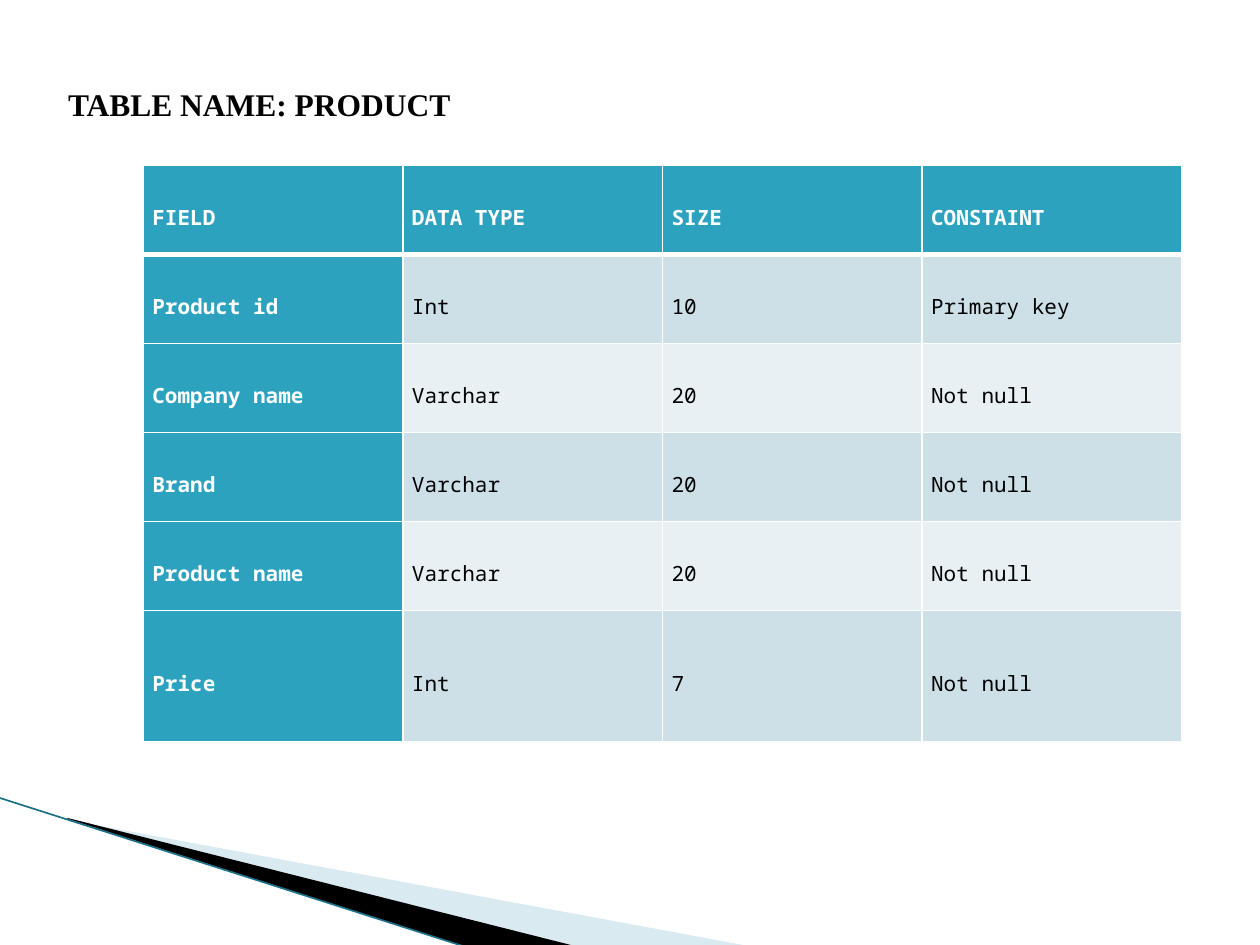
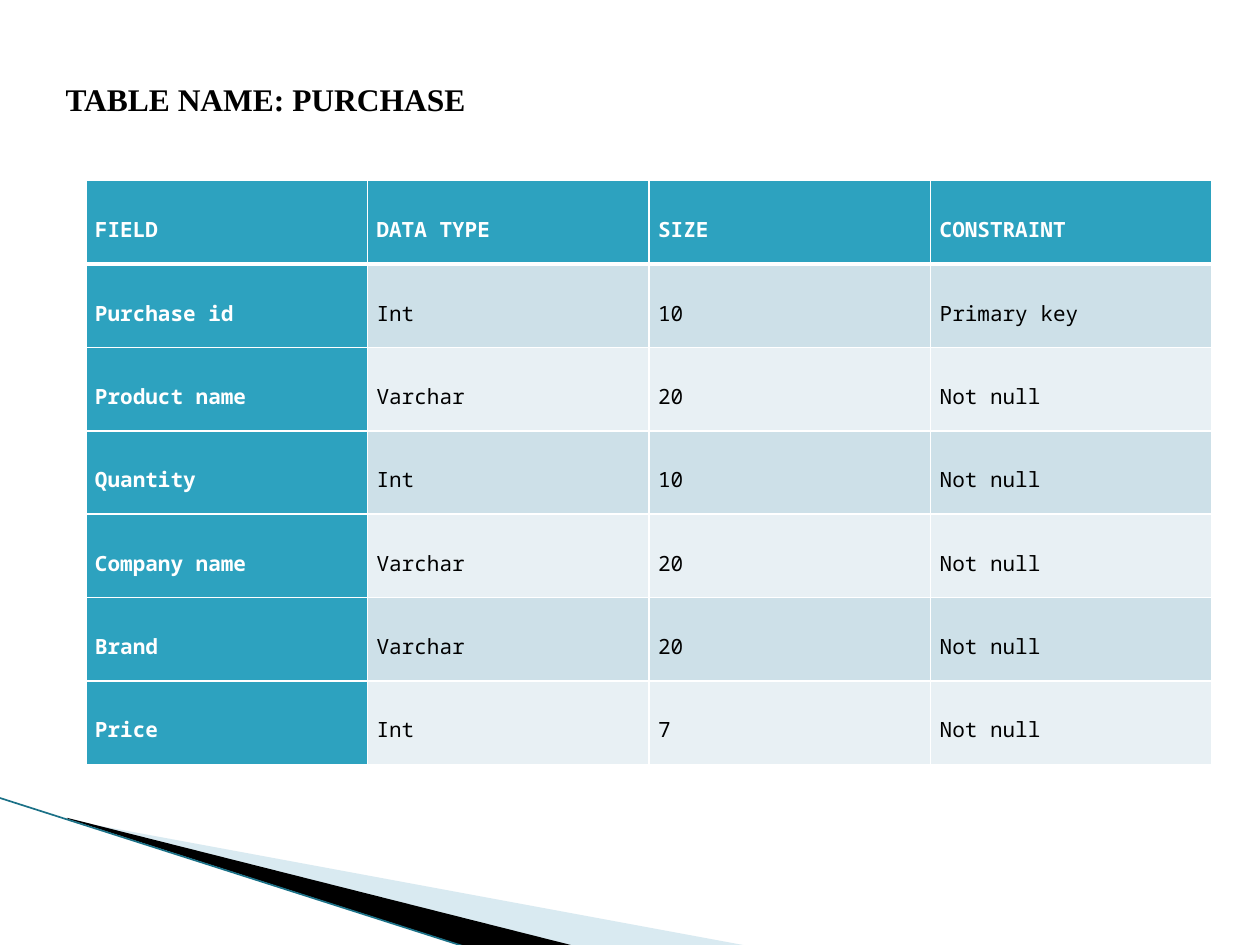
from lxml import etree
from pptx import Presentation
from pptx import util as u
from pptx.dml import color
from pptx.enum import shapes, text
from pptx.oxml import ns

COLORS = {
    "header": "2DA2BF",
    "band_dark": "CDE0E8",
    "band_light": "E8F0F4",
    "wedge_light": "A0CBDC",
    "wedge_black": "000000",
    "edge": "1B7187",
    "ink": "000000",
    "white": "FFFFFF",
}
RGB = {name: color.RGBColor.from_string(value) for name, value in COLORS.items()}
TITLE_FONT = {"name": "Times New Roman", "size": u.Pt(18), "bold": True}
CELL_FONT = {"name": "Noto Sans Mono", "size": u.Pt(12)}
PARAGRAPH = {"line_spacing": 1.5, "space_after": u.Pt(10)}
CELL = {
    "margin_left": u.Pt(5.2),
    "margin_right": u.Pt(5.2),
    "margin_top": 0,
    "margin_bottom": 0,
    "vertical_anchor": text.MSO_ANCHOR.MIDDLE,
}
WEDGES = [
    {
        "fill": "wedge_light",
        "opacity": 40,
        "frame": (56.2, 393.8, 299.5, 113.8),
        "points": [(39.6, 468.7), (428.4, 540.7), (328.3, 540.7), (39.6, 468)],
    },
    {
        "fill": "wedge_black",
        "opacity": 100,
        "frame": (-4.3, 455.8, 299.5, 66.2),
        "points": [(38.2, 467.3), (329, 540.7), (267.8, 541.4), (38.9, 468)],
    },
]
TABLES = [
    {
        "title": "TABLE NAME: PRODUCT",
        "title_at": (31.8, 34.2),
        "table_at": (81.9, 94.6),
        "column_width": 148.35,
        "row_heights": [50.9] * 5 + [74.8],
        "rows": [
            ("FIELD", "DATA TYPE", "SIZE", "CONSTAINT"),
            ("Product id", "Int", "10", "Primary key"),
            ("Company name", "Varchar", "20", "Not null"),
            ("Brand", "Varchar", "20", "Not null"),
            ("Product name", "Varchar", "20", "Not null"),
            ("Price", "Int", "7", "Not null"),
        ],
    },
    {
        "title": "TABLE NAME: PURCHASE",
        "title_at": (30.4, 31.4),
        "table_at": (49.1, 103.2),
        "column_width": 160.9,
        "row_heights": [47.67] * 7,
        "rows": [
            ("FIELD", "DATA TYPE", "SIZE", "CONSTRAINT"),
            ("Purchase id", "Int", "10", "Primary key"),
            ("Product name", "Varchar", "20", "Not null"),
            ("Quantity", "Int", "10", "Not null"),
            ("Company name", "Varchar", "20", "Not null"),
            ("Brand", "Varchar", "20", "Not null"),
            ("Price", "Int", "7", "Not null"),
        ],
    },
]


def apply(target, values):
    for name, value in values.items():
        setattr(target, name, value)


def write(frame, content, font, ink):
    paragraph = frame.paragraphs[0]
    apply(paragraph, PARAGRAPH)
    run = paragraph.add_run()
    run.text = content
    apply(run.font, font)
    run.font.color.rgb = RGB[ink]


presentation = Presentation()
presentation.slide_width = u.Pt(720)
presentation.slide_height = u.Pt(540)

for design in TABLES:
    slide = presentation.slides.add_slide(presentation.slide_layouts[6])

    for wedge_design in WEDGES:
        corners = [(u.Pt(x), u.Pt(y)) for x, y in wedge_design["points"]]
        builder = slide.shapes.build_freeform(*corners[0])
        builder.add_line_segments(corners[1:], close=True)
        wedge = builder.convert_to_shape()
        wedge.shadow.inherit = False
        wedge.fill.solid()
        wedge.fill.fore_color.rgb = RGB[wedge_design["fill"]]
        wedge.line.fill.background()
        if wedge_design["opacity"] < 100:
            tint = wedge._element.spPr.find(ns.qn("a:solidFill"))[0]
            alpha = str(wedge_design["opacity"] * 1000)
            etree.SubElement(tint, ns.qn("a:alpha"), val=alpha)

        left, top, width, height = map(u.Pt, wedge_design["frame"])
        outline = next(wedge._element.iter(ns.qn("a:path")))
        outline.set("w", str(width))
        outline.set("h", str(height))
        for point, (x, y) in zip(outline.iter(ns.qn("a:pt")), corners):
            point.set("x", str(x - left))
            point.set("y", str(y - top))
        apply(wedge, {"left": left, "top": top, "width": width, "height": height})

    edge = slide.shapes.add_connector(
        shapes.MSO_CONNECTOR.STRAIGHT, u.Pt(-0.7), u.Pt(455.8), u.Pt(267), u.Pt(541.4)
    )
    edge.line.width = u.Pt(0.95)
    edge.line.color.rgb = RGB["edge"]
    etree.SubElement(edge._element.spPr, ns.qn("a:effectLst"))

    left, top = design["title_at"]
    title = slide.shapes.add_textbox(u.Pt(left), u.Pt(top), u.Pt(360), u.Pt(36.7))
    title.text_frame.word_wrap = True
    title.text_frame.auto_size = text.MSO_AUTO_SIZE.SHAPE_TO_FIT_TEXT
    write(title.text_frame, design["title"], TITLE_FONT, "ink")

    rows, heights = design["rows"], design["row_heights"]
    left, top = design["table_at"]
    column_width = design["column_width"]
    table = slide.shapes.add_table(
        len(rows), len(rows[0]), u.Pt(left), u.Pt(top),
        u.Pt(column_width * len(rows[0])), u.Pt(sum(heights)),
    ).table
    table.horz_banding = False
    for column in table.columns:
        column.width = u.Pt(column_width)

    for row_index, row in enumerate(rows):
        table.rows[row_index].height = u.Pt(heights[row_index])
        band = "band_dark" if row_index % 2 else "band_light"
        for column_index, content in enumerate(row):
            cell = table.cell(row_index, column_index)
            heading = row_index == 0 or column_index == 0
            apply(cell, CELL)
            write(
                cell.text_frame, content, CELL_FONT | {"bold": heading},
                "white" if heading else "ink",
            )
            borders = {
                "L": 1,
                "R": 1,
                "T": 3 if row_index == 1 else 1,
                "B": 3 if row_index == 0 else 1,
            }
            properties = cell._tc.get_or_add_tcPr()
            for side, width in borders.items():
                border = etree.SubElement(
                    properties, ns.qn(f"a:ln{side}"), w=str(u.Pt(width))
                )
                paint = etree.SubElement(border, ns.qn("a:solidFill"))
                etree.SubElement(paint, ns.qn("a:srgbClr"), val=COLORS["white"])
            cell.fill.solid()
            cell.fill.fore_color.rgb = RGB["header" if heading else band]

presentation.save("out.pptx")
